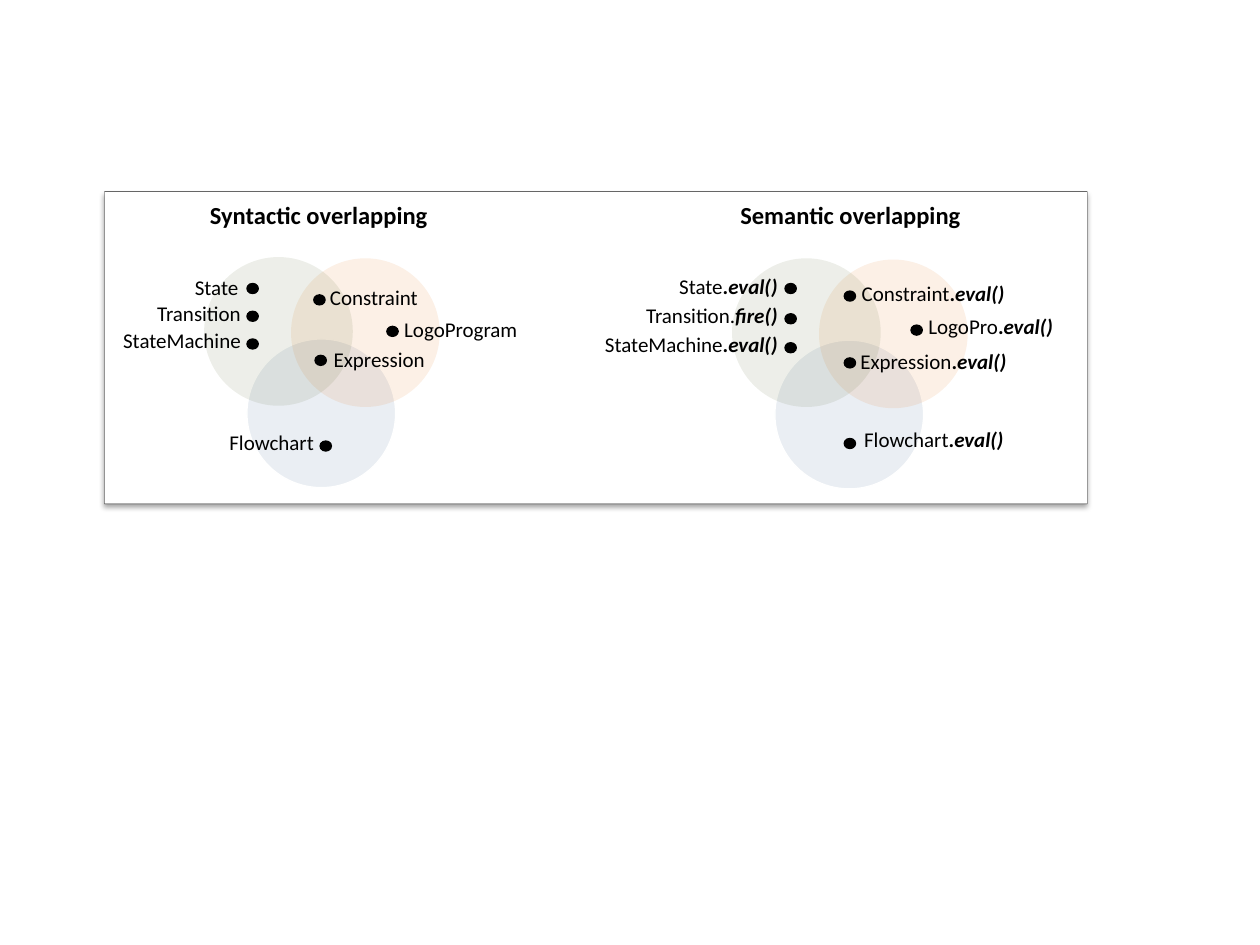
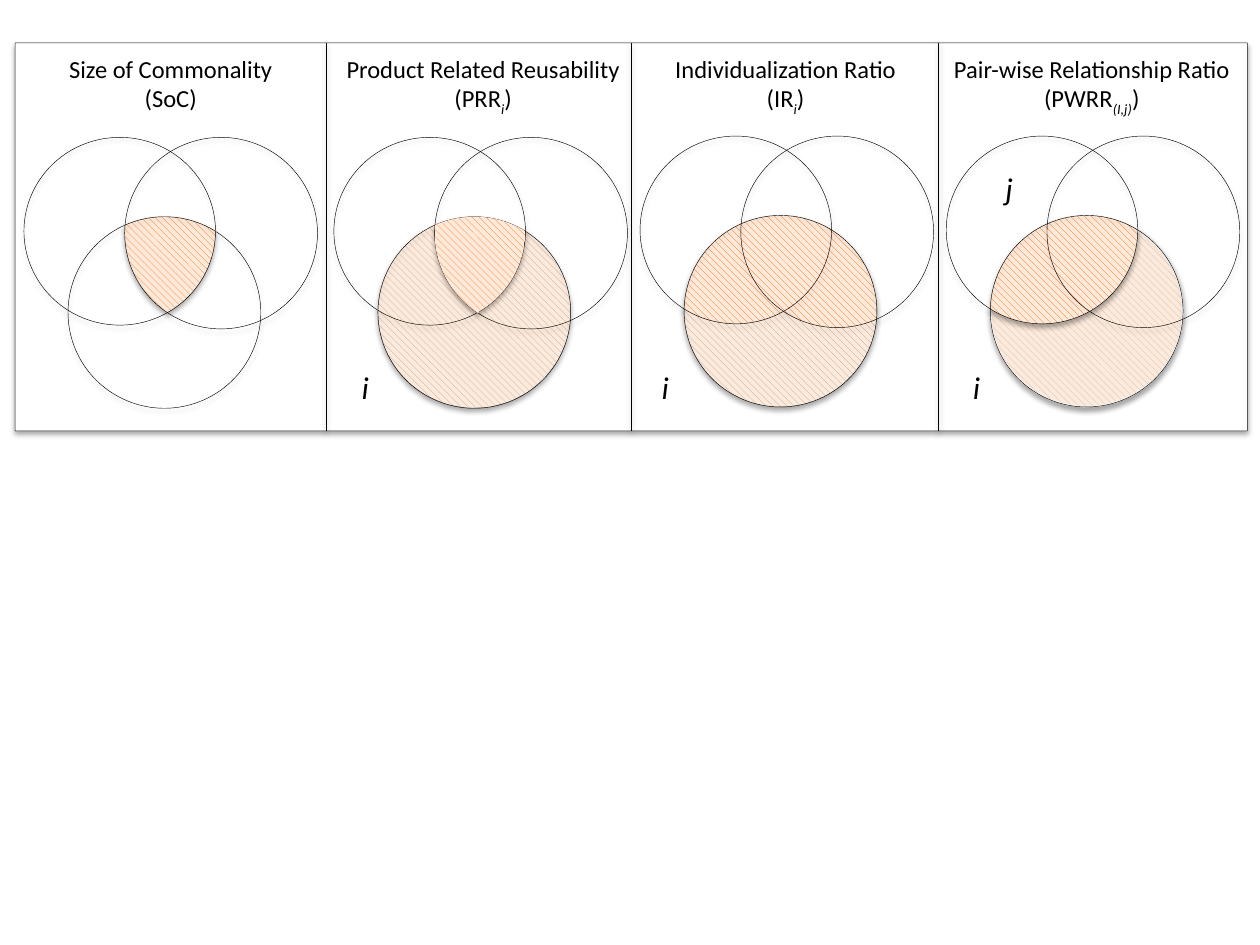
from math import cos, sin, radians

from lxml import etree
from pptx import Presentation
from pptx.dml.color import RGBColor
from pptx.enum.dml import MSO_PATTERN
from pptx.enum.shapes import MSO_CONNECTOR, MSO_SHAPE
from pptx.enum.text import MSO_AUTO_SIZE, PP_ALIGN as Align
from pptx.oxml.ns import qn
from pptx.util import Inches, Pt

COLORS = {
    "black": "000000", "white": "FFFFFF", "blue": "376092", "orange": "E46C0A",
    "green": "4F6228", "peach": "FDEADA", "hot": "FF6600", "gray": "A6A6A6",
    "pale": "BFBFBF",
}
FONT = "Calibri"
BLANK = 6


def rgb(name):
    return RGBColor.from_string(COLORS[name])


def fade(fill, alpha):
    """Set the opacity, in percent, of a solid fill's colour element."""
    color = fill.find(".//" + qn("a:srgbClr"))
    etree.SubElement(color, qn("a:alpha")).set("val", str(alpha * 1000))


def shade(effects, alpha=35, dist=1.8):
    """Add a soft shadow that falls straight down."""
    outer = etree.SubElement(effects, qn("a:outerShdw"), blurRad=str(Pt(3.1)),
                             dist=str(Pt(dist)), dir="5400000", rotWithShape="0")
    color = etree.SubElement(outer, qn("a:srgbClr"), val=COLORS["black"])
    etree.SubElement(color, qn("a:alpha"), val=str(alpha * 1000))


class Deck:
    def __init__(self):
        self.prs = Presentation()
        self.prs.slide_width, self.prs.slide_height = Inches(10), Inches(7.5)
        self.slide = None

    def page(self):
        self.slide = self.prs.slides.add_slide(self.prs.slide_layouts[BLANK])

    def style(self, shape, fill=None, alpha=None, hatch=None, line=None,
              weight=0.75, shadow=False):
        if hatch:
            shape.fill.patterned()
            shape.fill.pattern = MSO_PATTERN.WIDE_DOWNWARD_DIAGONAL
            shape.fill.fore_color.rgb = rgb(hatch)
            shape.fill.back_color.rgb = rgb("peach")
        elif fill:
            shape.fill.solid()
            shape.fill.fore_color.rgb = rgb(fill)
            if alpha:
                fade(shape._element.spPr.find(qn("a:solidFill")), alpha)
        else:
            shape.fill.background()
        if line:
            shape.line.color.rgb = rgb(line)
            shape.line.width = Pt(weight)
        else:
            shape.line.fill.background()
        shape.shadow.inherit = False
        if shadow:
            shade(shape._element.spPr.find(qn("a:effectLst")))
        return shape

    def shape(self, kind, box, **look):
        item = self.slide.shapes.add_shape(kind, *map(Inches, box))
        return self.style(item, **look)

    def oval(self, *box, **look):
        return self.shape(MSO_SHAPE.OVAL, box, **look)

    def frame(self, *box):
        item = self.shape(MSO_SHAPE.RECTANGLE, box, fill="white", line="black",
                          weight=0.25, shadow=True)
        fade(item._element.spPr.find(qn("a:ln")), 90)
        return item

    def area(self, points, **look):
        """Draw a closed outline through points given in inches."""
        pts = [(Inches(x), Inches(y)) for x, y in points]
        pen = self.slide.shapes.build_freeform(*pts[0], scale=1.0)
        pen.add_line_segments(pts[1:], close=True)
        return self.style(pen.convert_to_shape(), **look)

    def rule(self, x, top, end):
        item = self.slide.shapes.add_connector(
            MSO_CONNECTOR.STRAIGHT, Inches(x), Inches(top), Inches(x), Inches(end))
        item.line.color.rgb = rgb("black")
        item.line.width = Pt(0.25)
        shade(etree.SubElement(item._element.spPr, qn("a:effectLst")), 38, 1.6)
        return item

    def text(self, paras, *box, size=12, align=Align.CENTER):
        """Write paragraphs of (text, marks) runs; marks: b bold, i italic, s subscript."""
        frame = self.slide.shapes.add_textbox(*map(Inches, box)).text_frame
        frame.word_wrap = True
        frame.auto_size = MSO_AUTO_SIZE.SHAPE_TO_FIT_TEXT
        for n, runs in enumerate(paras):
            para = frame.add_paragraph() if n else frame.paragraphs[0]
            para.alignment = align
            for words, marks in runs:
                run = para.add_run()
                run.text = words
                font = run.font
                font.name, font.size, font.color.rgb = FONT, Pt(size), rgb("black")
                font.bold, font.italic = "b" in marks, "i" in marks
                if "s" in marks:
                    run._r.get_or_add_rPr().set("baseline", "-25000")


# Overlap slide: dot x, dot y, label edge, label top, label side, name, method
SYNTAX = [
    (1.96, 2.25, 1.99, 2.13, "r", "State", ""),
    (1.96, 2.47, 2.01, 2.34, "r", "Transition", ""),
    (1.96, 2.69, 2.01, 2.55, "r", "StateMachine", ""),
    (2.49, 2.34, 2.52, 2.21, "l", "Constraint", ""),
    (3.07, 2.59, 3.11, 2.46, "l", "LogoProgram", ""),
    (2.5, 2.82, 2.55, 2.7, "l", "Expression", ""),
    (2.54, 3.5, 2.59, 3.36, "r", "Flowchart", ""),
]
SEMANTICS = [
    (6.23, 2.25, 6.27, 2.12, "r", "State", "eval()"),
    (6.23, 2.49, 6.27, 2.35, "r", "Transition", "fire()"),
    (6.23, 2.72, 6.27, 2.58, "r", "StateMachine", "eval()"),
    (6.7, 2.31, 6.74, 2.18, "l", "Constraint", "eval()"),
    (7.23, 2.58, 7.27, 2.44, "l", "LogoPro", "eval()"),
    (6.7, 2.84, 6.73, 2.72, "l", "Expression", "eval()"),
    (6.7, 3.48, 6.76, 3.34, "l", "Flowchart", "eval()"),
]


def overlap(deck):
    deck.page()
    deck.frame(0.83, 1.52, 7.8, 2.48)
    wide, disc = 1.77, 1.18
    for left, top, mid, title, items in (
            (1.62, 2.04, 2.53, "Syntactic overlapping", SYNTAX),
            (5.81, 2.05, 6.75, "Semantic overlapping", SEMANTICS)):
        deck.oval(left + 0.34, top + 0.65, disc, disc, fill="blue", alpha=10, line="white")
        deck.oval(left + 0.69, top + 0.01, disc, disc, fill="orange", alpha=10)
        deck.oval(left, top, disc, disc, fill="green", alpha=10)
        deck.text([[(title, "b")]], mid - 1.45, 1.54, 2.9, 0.34, size=14)
        for x, y, edge, high, side, name, call in items:
            runs = [(name, "")]
            if call:
                runs += [(".", "" if call == "fire()" else "b"), (call, "bi")]
            right = side == "r"
            deck.text([runs], edge - wide if right else edge, high, wide, 0.3,
                      align=Align.RIGHT if right else Align.LEFT)
            deck.oval(x, y, 0.09, 0.08, fill="black", line="black")


# Metric slide: circles as left, top, width, height within a panel
RINGS = {"right": (0.8, 0, 1.53, 1.52), "left": (0, 0, 1.52, 1.49),
         "low": (0.35, 0.63, 1.53, 1.52)}
# Each region is a chain of arcs: circle, first and last angle, clockwise from east
CORE = [("low", 246, 302), ("left", 0, 59), ("right", 123, 185)]
REST = [("low", 302, 606), ("right", 185, 123), ("left", 59, 0)]
SHARED = [("low", 182, 363), ("right", 66, 123), ("left", 59, 124)]
ALONE = [("low", 3, 182), ("left", 124, 59), ("right", 123, 66)]
PAIR = [("low", 182, 302), ("left", 0, 124)]
UNPAIR = [("low", 302, 542), ("left", 124, 0)]

# Panel: venn left, venn top, title left, title, symbol, index, regions, marks
PANELS = [
    (0.19, 1.09, 0.12, "Size of Commonality", "SoC", "", [(CORE, "hot")], []),
    (2.65, 1.09, 2.6, "Product Related Reusability", "PRR", "i",
     [(REST, "gray")], [("i", 2.75, 2.87)]),
    (5.08, 1.08, 5, "Individualization Ratio", "IR", "i",
     [(SHARED, "hot"), (ALONE, "gray")], [("i", 5.13, 2.87)]),
    (7.51, 1.08, 7.43, "Pair-wise Relationship Ratio", "PWRR", "(I,j)",
     [(UNPAIR, "pale"), (PAIR, "hot")], [("i", 7.6, 2.87), ("j", 7.86, 1.29)]),
]


def trace(arcs, x, y, steps=24):
    """Return the points along a chain of arcs in the panel at x, y."""
    points = []
    for ring, start, end in arcs:
        left, top, wide, high = RINGS[ring]
        for n in range(steps + 1):
            turn = radians(start + (end - start) * n / steps)
            points.append((x + left + wide / 2 * (1 + cos(turn)),
                           y + top + high / 2 * (1 + sin(turn))))
    return points


def metrics(deck):
    deck.page()
    frame = deck.frame(0.12, 0.34, 9.78, 3.08)
    for x, y, *_, regions, _ in PANELS:
        for arcs, hatch in regions:
            deck.area(trace(arcs, x, y), hatch=hatch, shadow=True,
                      line="white" if hatch == "pale" else None)
    for x, y, side, title, symbol, index, _, marks in PANELS:
        for left, top, wide, high in RINGS.values():
            deck.oval(x + left, y + top, wide, high, line="black", weight=0.25,
                      shadow=True)
        runs = [("(" + symbol, ""), (index, "is"), (")", "")]
        deck.text([[(title, "")], [run for run in runs if run[0]]],
                  side, 0.38, 2.47, 0.57, size=14)
        for mark, left, top in marks:
            deck.text([[(mark, "i")]], left, top, 0.3, 0.4, size=18)
    x, y = PANELS[1][:2]
    deck.area(trace(CORE, x, y), hatch="hot", shadow=True)
    rules = [deck.rule(2.59 + 2.43 * n, 0.34, 3.42) for n in range(3)]
    rules[1].begin_connect(frame, 0)
    rules[1].end_connect(frame, 2)


def main():
    deck = Deck()
    overlap(deck)
    metrics(deck)
    deck.prs.save("out.pptx")


if __name__ == "__main__":
    main()
